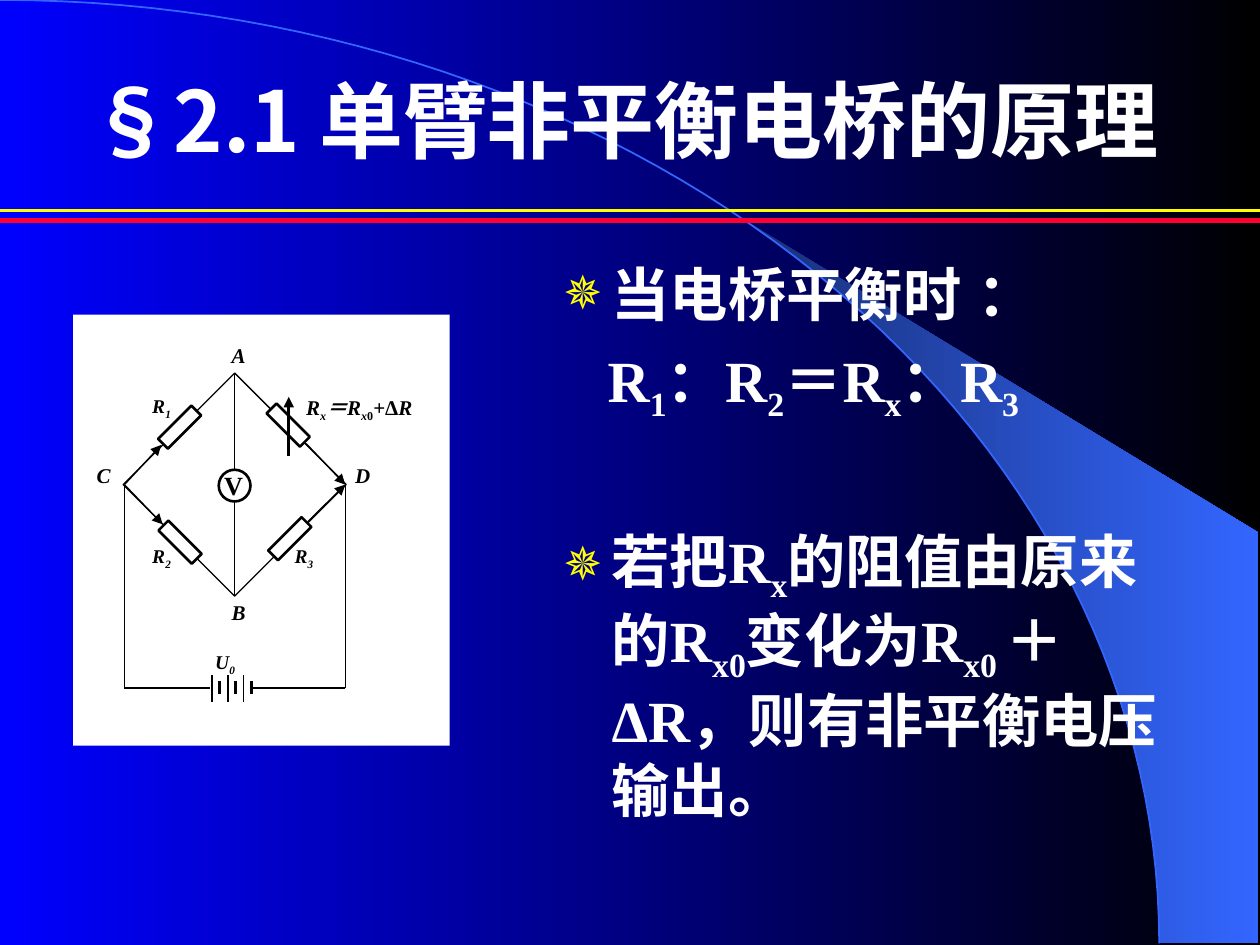
"""Build a slide on the single-arm unbalanced bridge."""
from dataclasses import dataclass
from math import acos, cos, pi, sin

from lxml.etree import SubElement
from pptx import Presentation
from pptx.dml.color import RGBColor
from pptx.enum.shapes import MSO_CONNECTOR, MSO_SHAPE
from pptx.enum.text import MSO_ANCHOR, PP_ALIGN
from pptx.oxml.ns import qn
from pptx.util import Cm, Pt

BLACK = RGBColor(0, 0, 0)
WHITE = RGBColor(255, 255, 255)
BLUE = RGBColor(0, 0, 255)
SKY = RGBColor(0x33, 0x66, 0xFF)
NAVY = RGBColor(0x18, 0x2F, 0x76)
GOLD = RGBColor(255, 255, 0)
RED = RGBColor(255, 0, 0x33)
SERIF, SANS, ARIAL = "Times New Roman", "Noto Sans CJK SC", "Arial"


@dataclass
class Bit:
    text: str
    sub: bool = False
    font: str = SERIF
    slant: bool = True


@dataclass
class Wire:
    x: float
    y: float
    to_x: float
    to_y: float
    size: float = 0.75
    arrow: bool = False
    color: RGBColor = BLACK


@dataclass
class Label:
    x: float
    y: float
    bits: list[Bit]
    size: float = 12
    width: float = 0.94


def write(para, bits: list[Bit], *, size: float, color=BLACK, slant=False,
          align=PP_ALIGN.LEFT, before: float = 0,
          left: float = 0, hang: float = 0, mark: str = "") -> None:
    """Fill a paragraph with formatted runs."""
    para.alignment, para.space_before = align, Pt(before)
    props = para._p.get_or_add_pPr()
    props.set("marL", str(Cm(left)))
    props.set("indent", str(Cm(-hang)))
    if mark:
        tint = SubElement(props, qn("a:buClr"))
        SubElement(tint, qn("a:srgbClr"), val=str(GOLD))
        SubElement(props, qn("a:buSzPct"), val="80000")
        SubElement(props, qn("a:buFont"), typeface=ARIAL)
        SubElement(props, qn("a:buChar"), char=mark)
    else:
        SubElement(props, qn("a:buNone"))
    for bit in bits:
        run = para.add_run()
        run.text = bit.text
        font = run.font
        font.size, font.bold, font.name = Pt(size), True, bit.font
        font.italic = slant and bit.slant
        font.color.rgb = color
        east = ARIAL if bit.font == SERIF else bit.font
        SubElement(font._element, qn("a:ea"), typeface=east)
        if bit.sub:
            font._element.set("baseline", "-25000")


def add_box(slide, x: float, y: float, wide: float, high: float, wrap=False):
    """Add a text box and return its frame."""
    frame = slide.shapes.add_textbox(Cm(x), Cm(y), Cm(wide), Cm(high)).text_frame
    frame.word_wrap = wrap
    return frame


def add_wire(slide, wire: Wire) -> None:
    """Draw a straight line, with an arrowhead if asked."""
    ends = (Cm(v) for v in (wire.x, wire.y, wire.to_x, wire.to_y))
    line = slide.shapes.add_connector(MSO_CONNECTOR.STRAIGHT, *ends)
    line.line.color.rgb, line.line.width = wire.color, Pt(wire.size)
    if wire.arrow:
        SubElement(line.line._get_or_add_ln(), qn("a:tailEnd"), type="triangle")
    SubElement(line.element.spPr, qn("a:effectLst"))


def add_form(slide, kind, mid: tuple[float, float], wide: float, high: float,
             turn: float = 0, size: float = 0) -> None:
    """Draw a white shape round its centre."""
    x, y = mid
    form = slide.shapes.add_shape(kind, Cm(x - wide / 2), Cm(y - high / 2), Cm(wide), Cm(high))
    form.shadow.inherit, form.rotation = False, turn
    form.fill.solid()
    form.fill.fore_color.rgb = WHITE
    if size:
        form.line.color.rgb, form.line.width = BLACK, Pt(size)
    else:
        form.line.fill.background()


def blend(fill, first: RGBColor, last: RGBColor) -> None:
    """Set a left-to-right gradient."""
    fill.gradient()
    fill.gradient_angle = 0
    for stop, color in zip(fill.gradient_stops, (first, last)):
        stop.color.rgb = color


def curve(start: float, count: int) -> list[tuple[int, int]]:
    """Give points on the big ellipse from an angle down to zero."""
    turns = (start * (1 - i / count) for i in range(count + 1))
    return [(Cm(23.37 * cos(t)), Cm(19.02 * (1 - sin(t)))) for t in turns]


def add_path(slide, dots: list[tuple[int, int]], close: bool):
    """Draw a freeform through the points."""
    path = slide.shapes.build_freeform(*dots[0], scale=1.0)
    path.add_line_segments(dots[1:], close=close)
    form = path.convert_to_shape()
    form.shadow.inherit = False
    return form


def add_bridge(slide) -> None:
    """Draw the bridge circuit on its white panel."""
    left, right, mid, axis, base = 2.51, 6.96, 4.73, 9.77, 13.87
    add_form(slide, MSO_SHAPE.RECTANGLE, (5.27, 10.69), 7.59, 8.69)
    add_form(slide, MSO_SHAPE.RECTANGLE, (mid, axis), 3.18, 3.18, 45, 0.75)
    for x, y, turn in ((5.81, 8.57, 45), (3.63, 10.93, 45), (3.62, 8.61, 135), (5.84, 10.86, 135)):
        add_form(slide, MSO_SHAPE.FLOWCHART_PROCESS, (x, y), 0.95, 0.28, turn, 1.5)
    wires = [
        Wire(left, axis, left, base), Wire(right, axis, right, base),
        Wire(mid, 7.54, mid, 12), Wire(left, base, 4.24, base), Wire(right, base, 5.05, base),
        Wire(left, axis, 3.25, 8.97, arrow=True), Wire(left, axis, 3.28, 10.57, arrow=True),
        Wire(6.2, 10.52, right, axis, arrow=True), Wire(6.17, 8.94, right, axis, arrow=True),
        Wire(5.82, 9.19, 5.82, 8, 1.5, True),
    ]
    for i in range(3):
        x = 4.27 + 0.32 * i
        wires += [Wire(x, 13.61, x, 14.15, 1), Wire(x + 0.16, 13.72, x + 0.16, 14, 1.5)]
    for wire in wires:
        add_wire(slide, wire)
    add_form(slide, MSO_SHAPE.OVAL, (mid, 9.79), 0.64, 0.64, 0, 1.5)
    frame = add_box(slide, 4.24, 9.47, 0.94, 0.81, True)
    frame.margin_left = frame.margin_right = frame.margin_top = frame.margin_bottom = 0
    write(frame.paragraphs[0], [Bit("V")], size=15, align=PP_ALIGN.CENTER)
    labels = [Label(x, y, [Bit(name)]) for name, x, y in (
        ("A", 4.42, 6.78), ("B", 4.42, 11.96), ("C", 1.7, 9.19), ("D", 6.91, 9.19))]
    labels += [Label(x, y, [Bit(name), Bit(low, True)], 11.1) for name, low, x, y in (
        ("R", "1", 2.82, 7.82), ("R", "2", 2.82, 10.85),
        ("R", "3", 5.69, 10.85), ("U", "0", 4.09, 12.98))]
    labels.append(Label(5.92, 7.82, [
        Bit("R"), Bit("x", True), Bit("＝R"), Bit("x", True), Bit("0", True, slant=False),
        Bit("+Δ", slant=False), Bit("R")], width=3.18))
    for label in labels:
        frame = add_box(slide, label.x, label.y, label.width, 0.81)
        write(frame.paragraphs[0], label.bits, size=label.size, slant=True)


def main() -> None:
    """Build and save the slide."""
    deck = Presentation()
    deck.slide_width, deck.slide_height = Cm(25.4), Cm(19.05)
    slide = deck.slides.add_slide(deck.slide_layouts[5])
    blend(slide.background.fill, BLUE, BLACK)
    edge = [(Cm(25.37), Cm(19.02)), (Cm(25.37), Cm(10.74))]
    wedge = add_path(slide, curve(acos(0.64), 24) + edge, True)
    blend(wedge.fill, NAVY, SKY)
    wedge.line.fill.background()
    arc = add_path(slide, curve(pi / 2, 60), False)
    arc.fill.background()
    arc.line.color.rgb, arc.line.width = SKY, Pt(1)

    title = slide.shapes.title
    title.element.getparent().append(title.element)
    title.left, title.top, title.width, title.height = Cm(0.62), Cm(1.49), Cm(23.93), Cm(1.83)
    title.text_frame.vertical_anchor = MSO_ANCHOR.MIDDLE
    write(title.text_frame.paragraphs[0],
          [Bit("§2.1 ", font=SANS), Bit("单臂非平衡电桥的原理", font=ARIAL)],
          size=48, color=WHITE, align=PP_ALIGN.CENTER)

    frame = add_box(slide, 11.11, 5.08, 13, 12.12, True)
    look = dict(size=33.3, color=WHITE)
    point = dict(left=0.97, hang=0.97, mark="✵")
    write(frame.paragraphs[0], [Bit("当电桥平衡时 ：")], **look, **point)
    write(frame.add_paragraph(), [
        Bit("R"), Bit("1", True), Bit("：R"), Bit("2", True),
        Bit("＝R"), Bit("x", True), Bit("：R"), Bit("3", True)], before=9, left=0.89, **look)
    write(frame.add_paragraph(), [
        Bit("若"), Bit("把", font=SANS), Bit("R"), Bit("x", True),
        Bit("的阻值由原来的", font=SANS), Bit("R"), Bit("x0", True),
        Bit("变化为", font=SANS), Bit("R"), Bit("x0 ", True),
        Bit("＋ΔR，则有非平衡电压输出。")], before=58, **look, **point)

    add_bridge(slide)
    for y, size, color in ((4.24, 1.5, GOLD), (4.45, 3, RED)):
        add_wire(slide, Wire(0, y, 25.4, y, size, color=color))
    deck.save("out.pptx")


if __name__ == "__main__":
    main()
